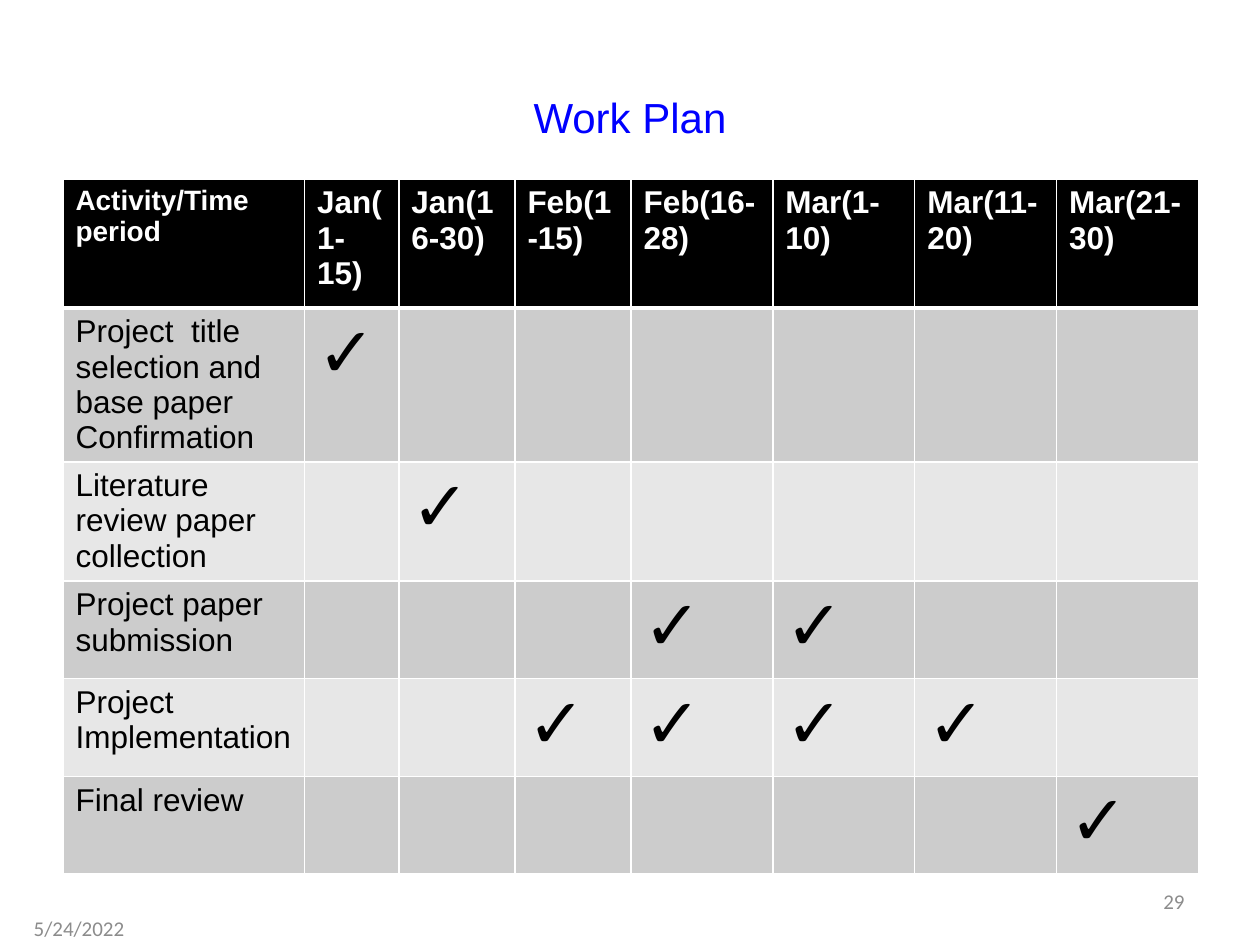
from lxml import etree
from pptx import Presentation
from pptx.dml.color import RGBColor
from pptx.enum.text import MSO_ANCHOR, PP_ALIGN
from pptx.oxml.ns import qn
from pptx.util import Cm, Pt

LEFT, CENTER, RIGHT = PP_ALIGN.LEFT, PP_ALIGN.CENTER, PP_ALIGN.RIGHT
MIDDLE = MSO_ANCHOR.MIDDLE
COLORS = {
    "title": "0000FF",
    "header": "000000",
    "header_text": "FFFFFF",
    "text": "000000",
    "odd_row": "CCCCCC",
    "even_row": "E7E7E7",
    "border": "FFFFFF",
    "footer": "8C8C8C",
}


def write(frame, text, size, color, font="Arial", bold=False, align=LEFT):
    paragraph = frame.paragraphs[0]
    paragraph.alignment = align
    run = paragraph.add_run()
    run.text = text
    run.font.name = font
    run.font.size = Pt(size)
    run.font.bold = bold
    run.font.color.rgb = RGBColor.from_string(COLORS[color])


def add_borders(cell, top, bottom):
    properties = cell._tc.get_or_add_tcPr()
    for side, width in (("L", 1), ("R", 1), ("T", top), ("B", bottom)):
        line = etree.SubElement(properties, qn(f"a:ln{side}"), w=str(Pt(width)))
        fill = etree.SubElement(line, qn("a:solidFill"))
        etree.SubElement(fill, qn("a:srgbClr"), val=COLORS["border"])


prs = Presentation()
prs.slide_width, prs.slide_height = Cm(25.4), Cm(19.05)
slide = prs.slides.add_slide(prs.slide_layouts[5])

# Title
title = slide.shapes.title
title.left, title.top, title.width, title.height = Cm(1.27), Cm(0.76), Cm(22.86), Cm(3.18)
title.text_frame.vertical_anchor = MIDDLE
write(title.text_frame, "Work Plan", 24, "title", align=CENTER)

# Work plan: each activity with the periods it takes place in
periods = ["Jan(1-15)", "Jan(16-30)", "Feb(1-15)", "Feb(16-28)",
           "Mar(1-10)", "Mar(11-20)", "Mar(21-30)"]
activities = [
    ("Project  title selection and base paper Confirmation", [1]),
    ("Literature review paper collection", [2]),
    ("Project paper submission", [4, 5]),
    ("Project Implementation", [3, 4, 5, 6]),
    ("Final review", [7]),
]
column_widths = [4.87, 1.9, 2.34, 2.34] + [2.86] * 4
row_heights = [2.6, 3.1, 2.4] + [1.97] * 3

plan = slide.shapes.add_table(
    len(row_heights), len(column_widths), Cm(1.27), Cm(3.61),
    Cm(sum(column_widths)), Cm(sum(row_heights))).table
for column, width in zip(plan.columns, column_widths):
    column.width = Cm(width)
for row, height in zip(plan.rows, row_heights):
    row.height = Cm(height)

# Borders and row fills
for r, row in enumerate(plan.rows):
    row_color = "header" if r == 0 else "odd_row" if r % 2 else "even_row"
    for cell in row.cells:
        add_borders(cell, top=3 if r == 1 else 1, bottom=3 if r == 0 else 1)
        cell.fill.solid()
        cell.fill.fore_color.rgb = RGBColor.from_string(COLORS[row_color])

# Header row
write(plan.cell(0, 0).text_frame, "Activity/Time period", 16, "header_text", bold=True)
for c, period in enumerate(periods, 1):
    write(plan.cell(0, c).text_frame, period, 18, "header_text", bold=True)

# Activities and check marks
for r, (activity, active_periods) in enumerate(activities, 1):
    write(plan.cell(r, 0).text_frame, activity, 18, "text")
    for c in active_periods:
        write(plan.cell(r, c).text_frame, "✓", 40, "text")

# Date and page number
for text, left, top, align in (("5/24/2022", 0.43, 18.21, LEFT),
                               ("29", 18.21, 17.65, RIGHT)):
    footer = slide.shapes.add_textbox(Cm(left), Cm(top), Cm(5.92), Cm(1.02)).text_frame
    footer.word_wrap = True
    footer.vertical_anchor = MIDDLE
    write(footer, text, 12, "footer", font="Calibri", align=align)

prs.save("out.pptx")
